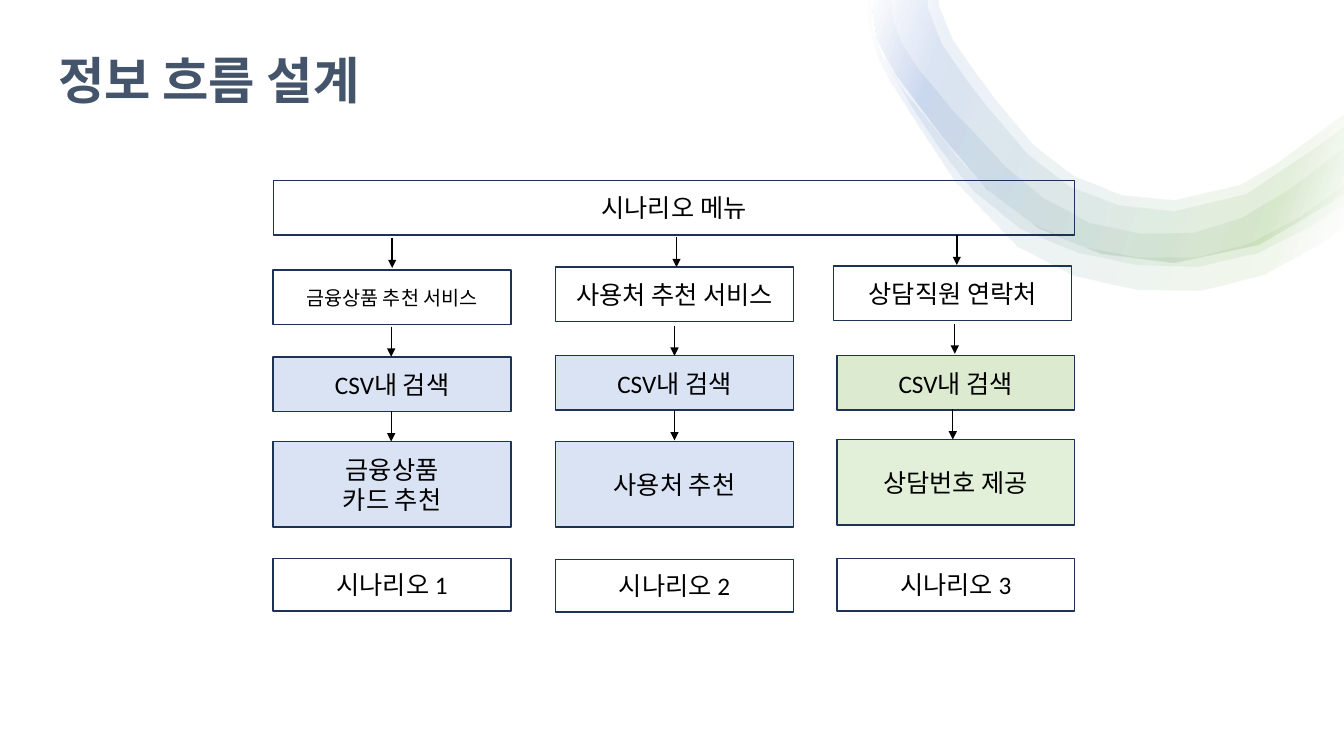
from dataclasses import dataclass
from lxml import etree
from pptx import Presentation
from pptx.dml.color import RGBColor
from pptx.enum.lang import MSO_LANGUAGE_ID
from pptx.enum.shapes import MSO_CONNECTOR, MSO_SHAPE
from pptx.enum.text import MSO_ANCHOR, PP_ALIGN
from pptx.oxml import parse_xml
from pptx.oxml.ns import nsdecls, qn
from pptx.util import Inches, Pt


@dataclass(frozen=True)
class Theme:
    font: str = "Calibri"
    title: str = "44546A"
    ink: str = "000000"
    border: str = "1E3256"
    page: str = "FFFFFF"
    blue: str = "DAE3F3"
    green: str = "DCEBD0"
    pale_green: str = "E2F0D9"
    ribbon_stops: tuple = ((2, "FFFFFF"), (16, "70AD47"), (85, "4472C4"), (100, "FFFFFF"))
    ribbon_alpha: int = 10
    ribbon_angle: int = 200
    title_size: int = 36
    body_size: int = 18
    small_size: int = 14
    line_width: int = 1


THEME = Theme()
TITLE = "정보 흐름 설계"
MENU = "시나리오 메뉴"

SCENARIOS = [
    {
        "steps": [
            ("금융상품 추천 서비스", 2.71, 2.68, 0.54, None, THEME.small_size),
            ("CSV내 검색", 2.71, 3.54, 0.54, THEME.blue, THEME.body_size),
            ("금융상품\n카드 추천", 2.71, 4.38, 0.85, THEME.blue, THEME.body_size),
            ("시나리오 1", 2.71, 5.54, 0.52, None, THEME.body_size),
        ],
        "arrows": [(3.89, 2.36), (3.88, 3.24), (3.88, 4.08)],
    },
    {
        "steps": [
            ("사용처 추천 서비스", 5.51, 2.65, 0.54, None, THEME.body_size),
            ("CSV내 검색", 5.51, 3.53, 0.54, THEME.blue, THEME.body_size),
            ("사용처 추천", 5.51, 4.38, 0.85, THEME.blue, THEME.body_size),
            ("시나리오 2", 5.51, 5.55, 0.52, None, THEME.body_size),
        ],
        "arrows": [(6.71, 2.35), (6.69, 3.23), (6.69, 4.07)],
    },
    {
        "steps": [
            ("상담직원 연락처", 8.27, 2.64, 0.54, None, THEME.body_size),
            ("CSV내 검색", 8.3, 3.53, 0.54, THEME.green, THEME.body_size),
            ("상담번호 제공", 8.3, 4.36, 0.85, THEME.pale_green, THEME.body_size),
            ("시나리오 3", 8.3, 5.54, 0.52, None, THEME.body_size),
        ],
        "arrows": [(9.49, 2.33), (9.47, 3.21), (9.45, 4.06)],
    },
]
STEP_WIDTH, MENU_WIDTH, ARROW_LENGTH = 2.36, 7.95, 0.3

CORE_OUTER = [(8.65, 0), (8.65, 0.08), (8.7, 0.4), (8.89, 0.75), (9.34, 1.35), (9.78, 1.87),
              (10.3, 2.26), (10.91, 2.51), (11.64, 2.6), (12.48, 2.42), (13.19, 2), (13.33, 1.9)]
RIBBONS = [
    ([(8.64, 0), (8.66, 0.27), (8.75, 0.54), (8.97, 0.9), (9.25, 1.24), (9.52, 1.58), (9.81, 1.89),
      (10.25, 2.22), (10.76, 2.45), (11.3, 2.55), (11.86, 2.55), (12.39, 2.41), (12.88, 2.15),
      (13.33, 1.83)],
     [(8.6, 0), (8.63, 0.28), (8.71, 0.56), (8.84, 0.82), (9.15, 1.3), (9.47, 1.79), (10.09, 2.44),
      (10.65, 2.73), (11.27, 2.87), (11.91, 2.88), (12.53, 2.72), (13.08, 2.42), (13.33, 2.23)]),
    ([(8.83, 0), (8.85, 0.2), (8.94, 0.43), (9.08, 0.65), (9.42, 1.06), (9.96, 1.64), (10.35, 1.96),
      (10.8, 2.2), (11.31, 2.31), (11.83, 2.3), (12.31, 2.15), (12.75, 1.89), (13.33, 1.46)],
     [(8.65, 0), (8.68, 0.31), (8.8, 0.64), (9.01, 1.01), (9.31, 1.46), (9.66, 1.9), (10.13, 2.27),
      (10.69, 2.5), (11.27, 2.62), (11.87, 2.64), (12.47, 2.5), (13, 2.23), (13.33, 2.01)]),
    ([(9.2, 0), (9.2, 0.08), (9.34, 0.44), (9.59, 0.8), (9.79, 1.06), (10.19, 1.53), (10.61, 1.85),
      (11.09, 2.03), (11.64, 2.09), (12.35, 1.92), (13.05, 1.45), (13.33, 1.25)], CORE_OUTER),
    ([(9.31, 0), (9.31, 0.06), (9.45, 0.4), (9.68, 0.73), (9.88, 1), (10.25, 1.44), (10.64, 1.74),
      (11.12, 1.93), (11.64, 1.98), (12.29, 1.83), (12.65, 1.62), (12.99, 1.37), (13.33, 1.12)],
     CORE_OUTER),
]


def add_ribbon(slide, inner, outer):
    points = [(Inches(x), Inches(y)) for x, y in inner + outer[::-1]]
    builder = slide.shapes.build_freeform(*points[0])
    builder.add_line_segments(points[1:], close=True)
    ribbon = builder.convert_to_shape()
    ribbon.shadow.inherit = False
    ribbon.line.fill.background()
    ribbon.fill.background()
    stops = "".join(
        f'<a:gs pos="{position * 1000}"><a:srgbClr val="{color}">'
        f'<a:alpha val="{THEME.ribbon_alpha * 1000}"/></a:srgbClr></a:gs>'
        for position, color in THEME.ribbon_stops)
    gradient = parse_xml(
        f'<a:gradFill {nsdecls("a")} rotWithShape="1"><a:gsLst>{stops}</a:gsLst>'
        f'<a:lin ang="{THEME.ribbon_angle * 60000}" scaled="0"/></a:gradFill>')
    properties = ribbon.element.spPr
    properties.replace(properties.find(qn("a:noFill")), gradient)


def format_text(frame, size, color, bold=False):
    for paragraph in frame.paragraphs:
        for run in paragraph.runs:
            run.font.name = THEME.font
            run.font.size = Pt(size)
            run.font.bold = bold
            run.font.color.rgb = RGBColor.from_string(color)
            run.font.language_id = MSO_LANGUAGE_ID.KOREAN
            latin = run.font._element.find(qn("a:latin"))
            latin.addnext(parse_xml(f'<a:ea {nsdecls("a")} typeface="{THEME.font}"/>'))


def add_box(slide, left, top, width, height, fill):
    box = slide.shapes.add_shape(
        MSO_SHAPE.RECTANGLE, Inches(left), Inches(top), Inches(width), Inches(height))
    box.shadow.inherit = False
    if fill:
        box.fill.solid()
        box.fill.fore_color.rgb = RGBColor.from_string(fill)
    else:
        box.fill.background()
    return box


def add_step(slide, label, left, top, height, fill, size, width=STEP_WIDTH):
    step = add_box(slide, left, top, width, height, fill)
    step.line.color.rgb = RGBColor.from_string(THEME.border)
    step.line.width = Pt(THEME.line_width)
    frame = step.text_frame
    frame.text = label
    frame.vertical_anchor = MSO_ANCHOR.MIDDLE
    for paragraph in frame.paragraphs:
        paragraph.alignment = PP_ALIGN.CENTER
    format_text(frame, size, THEME.ink)


def add_arrow(slide, x, top):
    arrow = slide.shapes.add_connector(
        MSO_CONNECTOR.STRAIGHT, Inches(x), Inches(top), Inches(x), Inches(top + ARROW_LENGTH))
    arrow.line.color.rgb = RGBColor.from_string(THEME.ink)
    arrow.line.width = Pt(THEME.line_width)
    etree.SubElement(arrow.line._get_or_add_ln(), qn("a:tailEnd"), type="triangle")
    etree.SubElement(arrow._element.spPr, qn("a:effectLst"))


def main():
    deck = Presentation()
    deck.slide_width, deck.slide_height = Inches(13.33), Inches(7.5)
    slide = deck.slides.add_slide(deck.slide_layouts[5])

    backdrop = add_box(slide, 0, 0, 13.33, 7.5, THEME.page)
    backdrop.line.fill.background()
    for inner, outer in RIBBONS:
        add_ribbon(slide, inner, outer)

    title = slide.shapes.title
    title.element.getparent().append(title.element)
    title.left, title.top, title.width, title.height = map(Inches, (0.48, -0.02, 10.75, 1.17))
    title.text_frame.text = TITLE
    title.text_frame.vertical_anchor = MSO_ANCHOR.BOTTOM
    title.text_frame.paragraphs[0].alignment = PP_ALIGN.LEFT
    title.text_frame.paragraphs[0].line_spacing = 0.9
    format_text(title.text_frame, THEME.title_size, THEME.title, bold=True)

    add_step(slide, MENU, 2.71, 1.79, 0.54, None, THEME.body_size, MENU_WIDTH)
    for scenario in SCENARIOS:
        for step in scenario["steps"]:
            add_step(slide, *step)
        for x, top in scenario["arrows"]:
            add_arrow(slide, x, top)

    deck.save("out.pptx")


if __name__ == "__main__":
    main()
